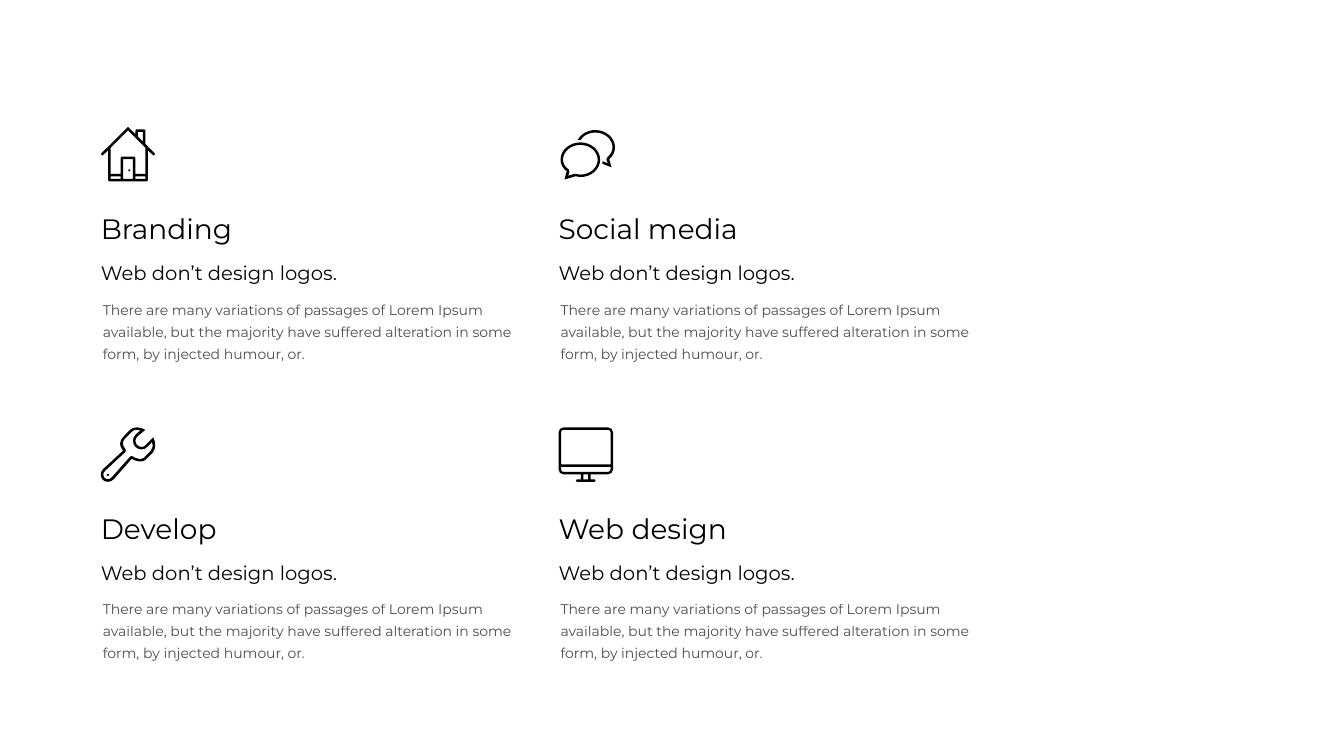
import pptx
import pptx.dml.color
import pptx.enum.text
import pptx.util
from pptx.util import Inches

FONT = "Montserrat"
BLACK = "000000"
TAGLINE = "Web don’t design logos."
BODY = ("There are many variations of passages of Lorem Ipsum available, "
        "but the majority have suffered alteration in some form, "
        "by injected humour, or.")

# Grid of services
LEFT, TOP = 1, 1.26
COL_STEP, ROW_STEP = 4.54, 2.97

# Icons are drawn on a 22-unit grid
GRID = 22
ICON_SIZE = 0.54
FINE = 100  # steps per grid unit


def rect(x0, y0, x1, y1):
    return [(x0, y0), (x1, y0), (x1, y1), (x0, y1)]


def dot(cx, cy, r):
    k = 0.55 * r
    left, top, right, bottom = cx - r, cy - r, cx + r, cy + r
    return [(cx, top), (cx + k, top, right, cy - k, right, cy),
            (right, cy + k, cx + k, bottom, cx, bottom),
            (cx - k, bottom, left, cy + k, left, cy),
            (left, cy - k, cx - k, top, cx, top)]


# Each contour lists corners (x, y) and cubic curves (x1, y1, x2, y2, x, y)
HOUSE = [
    [(11, 0), (14, 2.9), (14, 1.4), (14.4, 1), (17.6, 1), (18, 1.4), (18, 6.9),
     (22, 10.9), (21.3, 11.6), (19, 9.4), (19, 21.6), (18.6, 22), (3.4, 22),
     (3, 21.6), (3, 9.4), (0.7, 11.6), (0, 10.9)],
    [(11, 1.4), (18, 8.4), (18, 19), (14, 19), (14, 12.5), (13.5, 12),
     (8.5, 12), (8, 12.5), (8, 19), (4, 19), (4, 8.4)],
    [(15, 2), (17, 2), (17, 5.9), (15, 3.9)],
    rect(9, 13, 13, 21),
    rect(4, 20, 8, 21),
    rect(14, 20, 18, 21),
    dot(11.5, 17.5, 0.5),
]

BUBBLES = [
    [(8, 5), (3.6, 5, 0, 8.1, 0, 12), (0, 14, 1, 15.5, 2.5, 16.7),
     (1.6, 20), (6, 18.7), (6.7, 18.9, 7.3, 19, 8, 19),
     (12.4, 19, 16, 15.9, 16, 12), (16, 8.1, 12.4, 5, 8, 5)],
    [(8, 18), (7.4, 18, 6.9, 17.9, 6.4, 17.8), (6.1, 17.7, 5.8, 17.6, 5.6, 17.7),
     (3.1, 18.5), (3.6, 17), (3.8, 16.5, 3.7, 16.2, 3.3, 15.9),
     (1.8, 15, 1, 13.5, 1, 12), (1, 8.7, 4.1, 6, 8, 6),
     (11.9, 6, 15, 8.7, 15, 12), (15, 15.3, 11.9, 18, 8, 18)],
    [(22, 7), (22, 3.1, 18.4, 0, 14, 0), (10.9, 0, 8.2, 1.6, 6.9, 4), (8.1, 4),
     (9.2, 2.2, 11.4, 1, 14, 1), (17.9, 1, 21, 3.7, 21, 7),
     (21, 8.5, 20.3, 9.9, 19, 10.9), (18.5, 11.2, 18.4, 11.6, 18.5, 12),
     (19.2, 13.5), (17, 12.6), (17, 13, 17, 13.3, 16.9, 13.6), (20.6, 15.1),
     (19.7, 11.7), (21.2, 10.5, 22, 8.8, 22, 7)],
]

WRENCH = [
    [(21.2, 4), (21.7, 5.1, 22, 6.1, 22, 7), (22, 8.2, 21.7, 9.4, 21, 10.2),
     (18.2, 13), (17.6, 13.6, 16.9, 13.8, 16.2, 13.8),
     (15.6, 13.8, 14.2, 13.7, 12.5, 12.7), (5.2, 21),
     (4.5, 21.7, 3.7, 22, 2.8, 22), (1.2, 22, 0, 20.8, 0, 19.2),
     (0, 18.2, 0.3, 17.4, 1, 16.8), (9, 9.4), (7.4, 7.6, 7.3, 5.6, 9.2, 3.7),
     (11.8, 1), (12.6, 0.3, 13.5, 0, 14.6, 0), (15.8, 0, 16.8, 0.3, 18, 1),
     (14.8, 3.7), (14.3, 4.2, 14, 4.7, 14, 5.4), (14, 6.8, 15.1, 7.9, 16.5, 7.9),
     (17.2, 7.9, 17.8, 7.6, 18.2, 7.1)],
    [(20.7, 6), (21.2, 7.5, 20.9, 8.8, 20.1, 9.6), (17.4, 12.3),
     (17, 12.7, 16.7, 12.8, 16.2, 12.8), (15.7, 12.8, 14.2, 12.6, 12.6, 11.6),
     (12.4, 11.5, 12.2, 11.5, 12, 11.7), (4.4, 20.2),
     (4, 20.7, 3.4, 21, 2.8, 21), (1.8, 21, 1, 20.2, 1, 19.2),
     (1, 18.5, 1.3, 17.9, 1.8, 17.5), (10, 9.9),
     (10.3, 9.6, 10.3, 9.3, 10.1, 9), (8.6, 7.2, 8.6, 5.8, 9.8, 4.5),
     (12.5, 1.8), (13.1, 1.2, 13.8, 1, 14.6, 1), (15.2, 1, 15.6, 1.1, 16, 1.2),
     (14.1, 2.9), (13.4, 3.6, 13, 4.4, 13, 5.4), (13, 7.4, 14.5, 8.9, 16.5, 8.9),
     (17.4, 8.9, 18.3, 8.5, 18.9, 7.8)],
    dot(2.9, 19.2, 0.55),
]

MONITOR = [
    [(2, 0), (20, 0), (21.1, 0, 22, 0.9, 22, 2), (22, 17),
     (22, 18.1, 21.1, 19, 20, 19), (13, 19), (13, 21), (14.6, 21),
     (15.1, 21, 15.1, 22, 14.6, 22), (7.4, 22), (6.9, 22, 6.9, 21, 7.4, 21),
     (9, 21), (9, 19), (2, 19), (0.9, 19, 0, 18.1, 0, 17), (0, 2),
     (0, 0.9, 0.9, 0, 2, 0)],
    [(2, 1), (20, 1), (20.6, 1, 21, 1.4, 21, 2), (21, 15), (1, 15), (1, 2),
     (1, 1.4, 1.4, 1, 2, 1)],
    [(1, 16), (21, 16), (21, 17), (21, 17.6, 20.6, 18, 20, 18), (2, 18),
     (1.4, 18, 1, 17.6, 1, 17)],
    rect(10, 19, 12, 21),
]

# Name, icon, icon shift right and down
SERVICES = [
    ("Branding", HOUSE, 0, 0),
    ("Social media", BUBBLES, 0.02, 0.03),
    ("Develop", WRENCH, 0, 0.01),
    ("Web design", MONITOR, 0, 0.01),
]

# Offset from the icon's corner, size and text format of each text line
NAME = dict(dx=0, dy=0.83, w=4.08, h=0.41, size=20, spacing=0.9, alpha=100)
TAG = dict(dx=0, dy=1.31, w=4.08, h=0.32, size=14, spacing=0.9, alpha=100)
DETAIL = dict(dx=0.02, dy=1.63, w=4.06, h=0.76, size=10, spacing=1.3, alpha=70)


def paint(fill, color, alpha=100):
    fill.solid()
    fill.fore_color.rgb = pptx.dml.color.RGBColor.from_string(color)
    if alpha < 100:
        clr = fill._xPr.find(".//" + pptx.oxml.ns.qn("a:srgbClr"))
        clr.append(pptx.oxml.parse_xml(
            f'<a:alpha {pptx.oxml.ns.nsdecls("a")} val="{alpha * 1000}"/>'))


def bend(line, seg):
    """Replace a straight segment by a cubic curve."""
    fine = [round(v * FINE) for v in seg]
    pts = "".join(f'<a:pt x="{x}" y="{y}"/>' for x, y in zip(fine[::2], fine[1::2]))
    curve = f'<a:cubicBezTo {pptx.oxml.ns.nsdecls("a")}>{pts}</a:cubicBezTo>'
    line.getparent().replace(line, pptx.oxml.parse_xml(curve))


def add_icon(s, contours, x, y):
    outlines = [[(seg[-2] * FINE, seg[-1] * FINE) for seg in c] for c in contours]
    scale = Inches(ICON_SIZE) / (GRID * FINE)
    builder = s.shapes.build_freeform(*outlines[0][0], scale=scale)
    for i, pts in enumerate(outlines):
        if i:
            builder.move_to(*pts[0])
        builder.add_line_segments(pts[1:], close=True)
    sp = builder.convert_to_shape(Inches(x), Inches(y))
    segments = [seg for c in contours for seg in c[1:]]
    lines = list(sp._element.iter(pptx.oxml.ns.qn("a:lnTo")))
    for line, seg in zip(lines, segments):
        if len(seg) == 6:
            bend(line, seg)
    sp.shadow.inherit = False
    paint(sp.fill, BLACK)
    sp.line.fill.background()


def add_text(s, text, x, y, style):
    sp = s.shapes.add_textbox(Inches(x + style["dx"]), Inches(y + style["dy"]),
                              Inches(style["w"]), Inches(style["h"]))
    tf = sp.text_frame
    frame = dict(word_wrap=True, margin_left=0, margin_right=0,
                 margin_top=Inches(0.05), margin_bottom=Inches(0.05),
                 auto_size=pptx.enum.text.MSO_AUTO_SIZE.SHAPE_TO_FIT_TEXT)
    for key, value in frame.items():
        setattr(tf, key, value)
    p = tf.paragraphs[0]
    p.line_spacing = style["spacing"]
    r = p.add_run()
    r.text = text
    for key, value in dict(name=FONT, size=pptx.util.Pt(style["size"])).items():
        setattr(r.font, key, value)
    paint(r.font.fill, BLACK, style["alpha"])


def main():
    prs = pptx.Presentation()
    prs.slide_width, prs.slide_height = Inches(13.33), Inches(7.5)
    s = prs.slides.add_slide(prs.slide_layouts[6])

    # Two columns of services
    for i, (name, icon, shift_x, shift_y) in enumerate(SERVICES):
        row, col = divmod(i, 2)
        x, y = LEFT + col * COL_STEP, TOP + row * ROW_STEP
        add_icon(s, icon, x + shift_x, y + shift_y)
        for text, style in ((name, NAME), (TAGLINE, TAG), (BODY, DETAIL)):
            add_text(s, text, x, y, style)

    prs.save("out.pptx")


if __name__ == "__main__":
    main()
